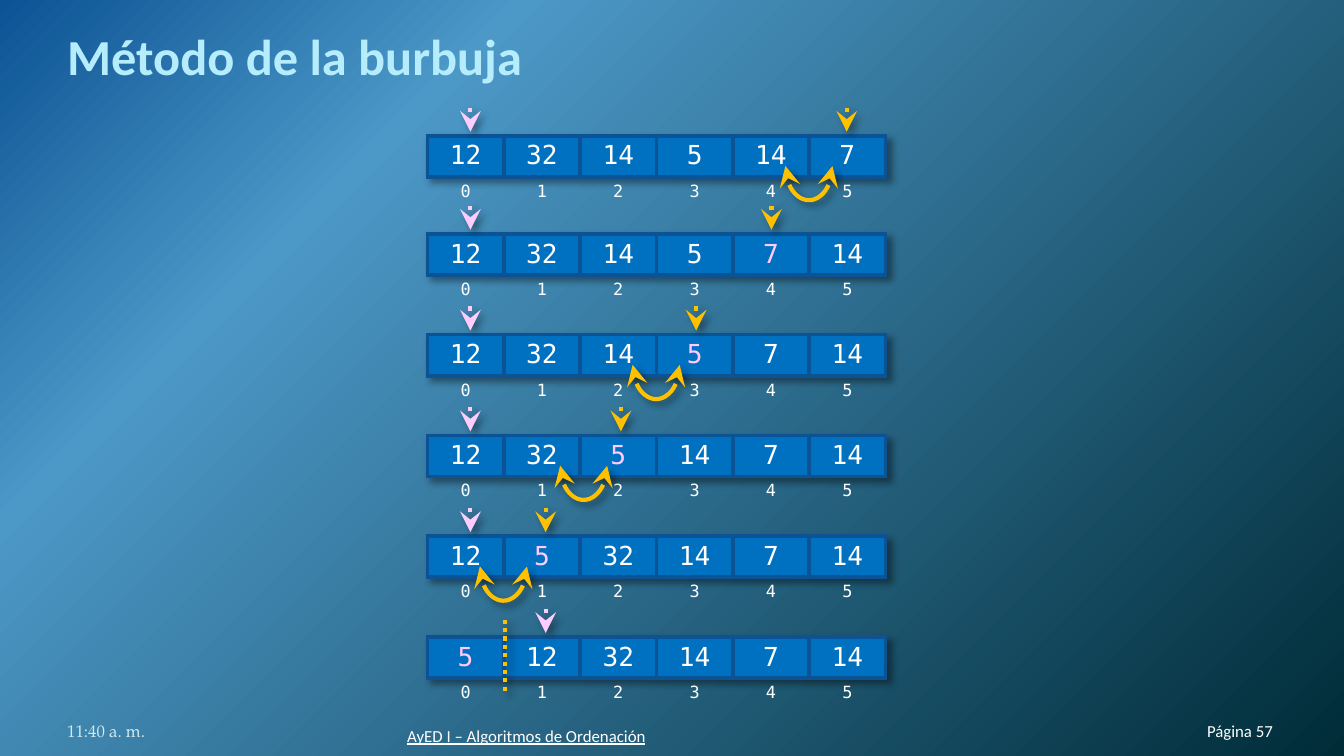
from lxml import etree
from pptx import Presentation
from pptx import util as u
from pptx.dml.color import RGBColor
from pptx.enum import dml, shapes, text
from pptx.oxml import parse_xml
from pptx.oxml.ns import nsdecls, qn

SLIDE_WIDTH = 10
SLIDE_HEIGHT = SLIDE_WIDTH * 9 / 16
COLORS = {
    "sky": "0B5394", "light": "4C98C7", "deep": "002C38",
    "cell": "0070C0", "border": "0B5394", "white": "FFFFFF",
    "pink": "FFCCFF", "amber": "FFC000", "title": "B5EDFD",
    "clock": "D1EAEE", "shadow": "000000",
}
SANS, MONO, SERIF = "Calibri", "DejaVu Sans Mono", "TeX Gyre Pagella"
LINE_WIDTH = 2.25
NO_STYLE = "{2D5ABB26-0587-4C30-8999-92F81FD0307C}"
ARRAY_LEFT, ARRAY_WIDTH, ARRAY_HEIGHT = 3.18, 3.41, 0.55
VALUE_ROW, INDEX_ROW = 0.3, 0.24
MARKER_LEFT, MARKER_PITCH = 3.5, 0.56
STEPS = [
    dict(top=1.01, values=[12, 32, 14, 5, 14, 7], low=0, high=5, swap=4),
    dict(top=1.74, values=[12, 32, 14, 5, 7, 14], low=0, high=4, moved=4),
    dict(top=2.49, values=[12, 32, 14, 5, 7, 14], low=0, high=3, moved=3, swap=2),
    dict(top=3.24, values=[12, 32, 5, 14, 7, 14], low=0, high=2, moved=2, swap=1.05),
    dict(top=3.99, values=[12, 5, 32, 14, 7, 14], low=0, high=1, moved=1, swap=0),
    dict(top=4.74, values=[5, 12, 32, 14, 7, 14], low=1, moved=0, divider=1),
]


def rgb(name):
    return RGBColor.from_string(COLORS[name])


def inches(*lengths):
    return [u.Inches(length) for length in lengths]


def solid(name):
    return f'<a:solidFill><a:srgbClr val="{COLORS[name]}"/></a:solidFill>'


def write(frame, words, size=9, font=SANS, color="white", bold=False,
          underline=False, align=text.PP_ALIGN.LEFT, outline=None):
    paragraph = frame.paragraphs[0]
    paragraph.alignment = align
    run = paragraph.add_run()
    run.text = str(words)
    run.font.size = u.Pt(size)
    run.font.name = font
    run.font.bold = bold
    run.font.underline = underline
    run.font.color.rgb = rgb(color)
    if outline:
        edge = parse_xml(f'<a:ln {nsdecls("a")} w="9525">{solid(outline)}</a:ln>')
        run.font._element.insert(0, edge)


def add_label(slide, box, words, bottom_inset=0, **style):
    frame = slide.shapes.add_textbox(*inches(*box)).text_frame
    frame.word_wrap = True
    frame.vertical_anchor = text.MSO_ANCHOR.BOTTOM
    frame.margin_left = frame.margin_top = frame.margin_right = 0
    frame.margin_bottom = u.Inches(bottom_inset)
    write(frame, words, **style)


def shadow_effect():
    return parse_xml(
        f'<a:effectLst {nsdecls("a")}><a:outerShdw blurRad="50800" dist="38100" '
        f'dir="2700000" algn="tl" rotWithShape="0"><a:srgbClr val="{COLORS["shadow"]}">'
        '<a:alpha val="40000"/></a:srgbClr></a:outerShdw></a:effectLst>')


def style_stroke(mark, color, ends=(), dotted=False):
    mark.line.color.rgb = rgb(color)
    mark.line.width = u.Pt(LINE_WIDTH)
    if dotted:
        mark.line.dash_style = dml.MSO_LINE.ROUND_DOT
    properties = mark._element.spPr
    stroke = properties.find(qn("a:ln"))
    for end in ends:
        etree.SubElement(stroke, qn(f"a:{end}"), type="stealth", w="lg", len="lg")
    properties.append(shadow_effect())


def add_stroke(slide, x, start, end, color, ends=()):
    stroke = slide.shapes.add_connector(
        shapes.MSO_CONNECTOR.STRAIGHT, *inches(x, start, x, end))
    style_stroke(stroke, color, ends, dotted=True)


def add_swap(slide, column, top):
    pitch = ARRAY_WIDTH / 6
    arc = slide.shapes.add_shape(
        shapes.MSO_SHAPE.ARC, *inches(3.49 + pitch * column, top + 0.05, 0.51, 0.35))
    arc.adjustments[0], arc.adjustments[1] = 162, 53.776
    arc.rotation = 270
    arc._element.spPr.find(qn("a:xfrm")).set("flipH", "1")
    arc.fill.background()
    style_stroke(arc, "amber", ("headEnd", "tailEnd"))


def add_cell(cell, words, sides, filled, **style):
    cell.margin_left = cell.margin_right = u.Inches(0.07)
    cell.margin_top = cell.margin_bottom = u.Pt(2.6)
    properties = cell._tc.get_or_add_tcPr()
    for side in sides:
        properties.append(parse_xml(
            f'<a:ln{side} {nsdecls("a")} w="{u.Pt(LINE_WIDTH)}">{solid("border")}</a:ln{side}>'))
    if filled:
        cell.fill.solid()
        cell.fill.fore_color.rgb = rgb("cell")
    else:
        cell.fill.background()
    write(cell.text_frame, words, font=MONO, align=text.PP_ALIGN.CENTER, **style)


def add_array(slide, box, values, moved):
    frame = slide.shapes.add_table(2, len(values), *inches(*box))
    array = frame.table
    array.first_row = array.horz_banding = False
    properties = array._tbl.tblPr
    properties.find(qn("a:tableStyleId")).text = NO_STYLE
    properties.insert(0, shadow_effect())
    array.rows[0].height, array.rows[1].height = inches(VALUE_ROW, INDEX_ROW)
    for index, value in enumerate(values):
        array.columns[index].width = u.Inches(box[2] / len(values))
        add_cell(array.cell(0, index), value, "LRTB", True, size=14,
                 color="pink" if index == moved else "white")
        add_cell(array.cell(1, index), index, "T", False)


def add_step(slide, top, values, low, high=None, moved=None, swap=None, divider=None):
    add_array(slide, (ARRAY_LEFT, top, ARRAY_WIDTH, ARRAY_HEIGHT), values, moved)
    for column, color in ((low, "pink"), (high, "amber")):
        if column is not None:
            add_stroke(slide, MARKER_LEFT + MARKER_PITCH * column,
                       top - 0.21, top - 0.03, color, ("tailEnd",))
    if swap is not None:
        add_swap(slide, swap, top)
    if divider is not None:
        x = ARRAY_LEFT + ARRAY_WIDTH / len(values) * divider + 0.01
        add_stroke(slide, x, top + 0.4, top - 0.14, "amber")


def add_background(slide):
    slide.background.fill.solid()
    holder = slide._element.find(".//" + qn("p:bgPr"))
    stops = "".join(
        f'<a:gs pos="{share * 1000}"><a:srgbClr val="{COLORS[name]}"/></a:gs>'
        for share, name in ((0, "sky"), (25, "light"), (100, "deep")))
    holder.replace(holder[0], parse_xml(
        f'<a:gradFill {nsdecls("a")} rotWithShape="1"><a:gsLst>{stops}</a:gsLst>'
        '<a:path path="circle"><a:fillToRect r="100000" b="100000"/></a:path></a:gradFill>'))


def add_footer(slide, top):
    add_label(slide, (0.5, top, 2.33, 0.3), "11:40 a. m.", font=SERIF, color="clock")
    add_label(slide, (3.03, top + 0.04, 3.78, 0.3),
              "AyED I – Algoritmos de Ordenación", underline=True)
    add_label(slide, (8.49, top, 0.98, 0.3), "Página 57", align=text.PP_ALIGN.RIGHT)


def main():
    deck = Presentation()
    deck.slide_width, deck.slide_height = inches(SLIDE_WIDTH, SLIDE_HEIGHT)
    slide = deck.slides.add_slide(deck.slide_layouts[6])
    add_background(slide)
    add_label(slide, (0.5, 0.23, 9, 0.41), "Método de la burbuja",
              size=27, color="title", bold=True, outline="cell")
    for step in STEPS:
        add_step(slide, **step)
    add_footer(slide, 5.21)
    deck.save("out.pptx")


if __name__ == "__main__":
    main()
